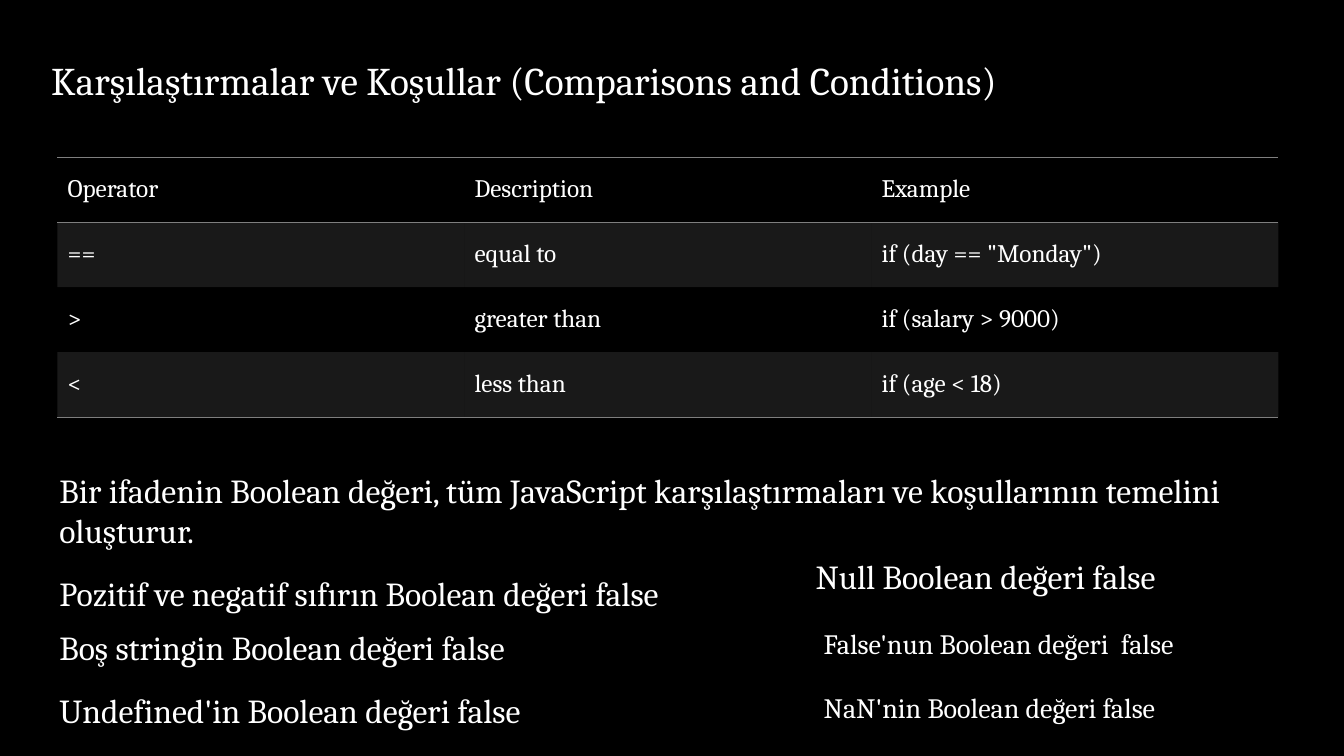
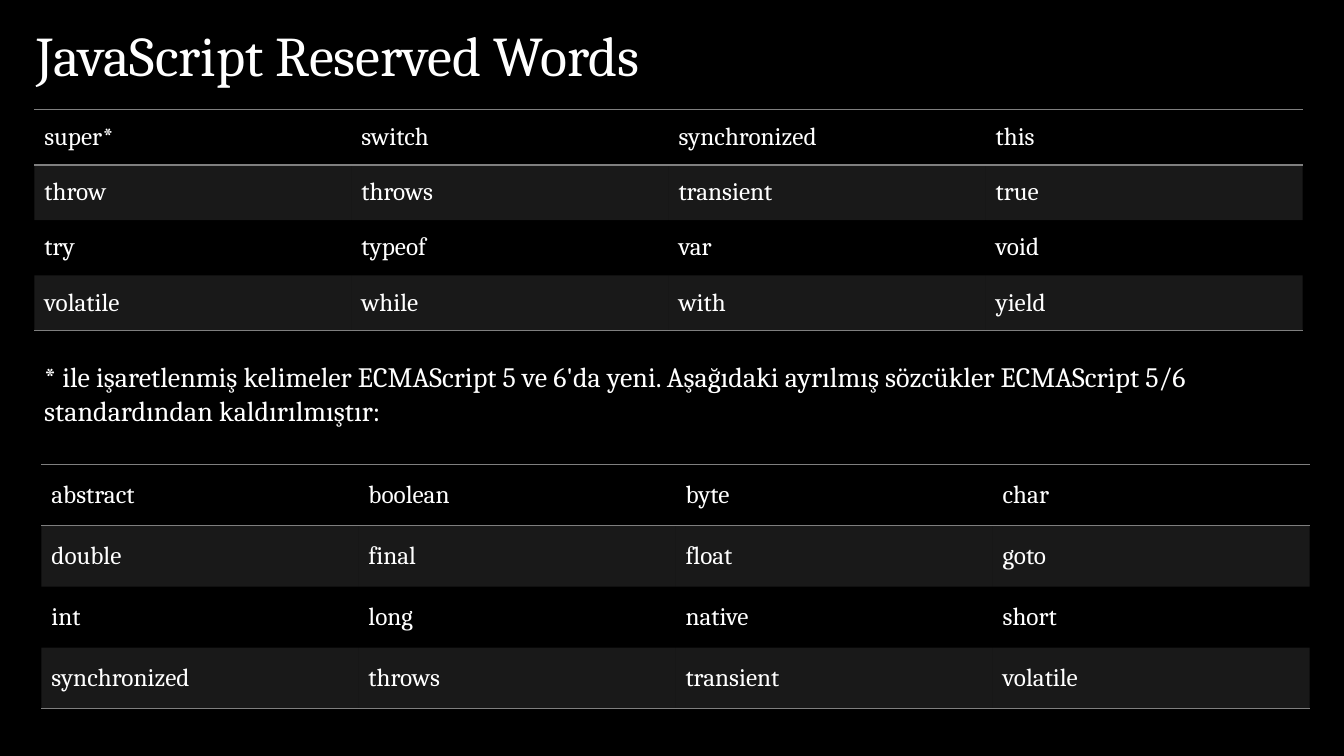
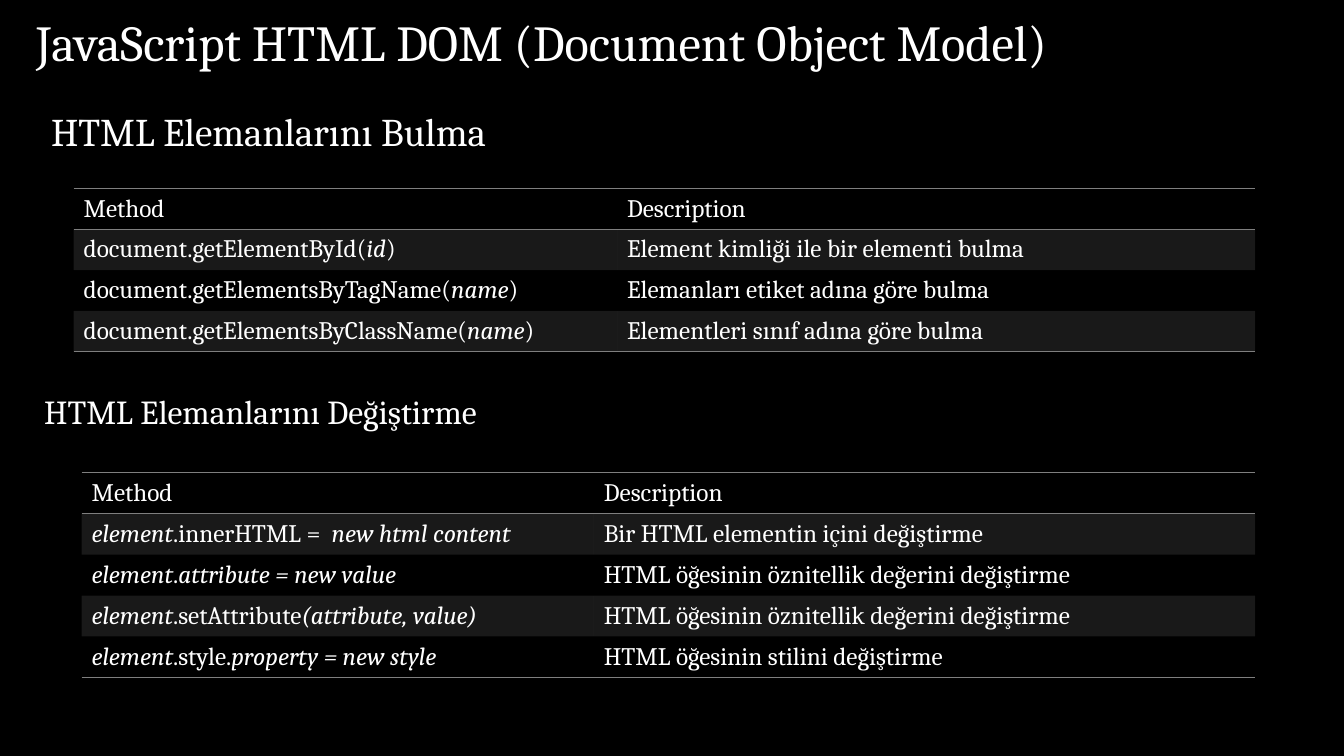
import pptx
import pptx.util
import pptx.dml.color
import pptx.enum.text
import pptx.oxml
import pptx.oxml.ns
from pptx.util import Inches

ANCHOR = pptx.enum.text.MSO_ANCHOR
COLORS = {"background": "000000", "text": "FFFFFF", "grey": "7F7F7F"}
FONT = "Cambria"
TABLE_SIZE = 18
BAND_ALPHA = 20
TITLE_FORMAT = {"line_spacing": 0.8}
HEADING_FORMAT = {"space_before": pptx.util.Pt(16)}


def rgb(name):
    return pptx.dml.color.RGBColor.from_string(COLORS[name])


def set_attributes(target, values):
    for name, value in values.items():
        setattr(target, name, value)


class Deck:
    """Holds the shared style and the current slide."""

    def __init__(self):
        self.presentation = pptx.Presentation()
        set_attributes(self.presentation, {"slide_width": Inches(13.33), "slide_height": Inches(7.5)})
        self.slide = None

    def new_slide(self):
        self.slide = self.presentation.slides.add_slide(self.presentation.slide_layouts[6])
        fill = self.slide.background.fill
        fill.solid()
        fill.fore_color.rgb = rgb("background")

    def add_runs(self, paragraph, text, size):
        """Fill a paragraph; parts between underscores are italic."""
        for index, part in enumerate(text.split("_")):
            if part:
                run = paragraph.add_run()
                run.text = part
                set_attributes(run.font, {"name": FONT, "size": pptx.util.Pt(size), "italic": index % 2 == 1})
                run.font.color.rgb = rgb("text")

    def text(self, text, left, top, width, height, size=24, anchor=ANCHOR.TOP, paragraph_format=None):
        shape = self.slide.shapes.add_textbox(Inches(left), Inches(top), Inches(width), Inches(height))
        set_attributes(shape.text_frame, {"word_wrap": True, "vertical_anchor": anchor})
        paragraph = shape.text_frame.paragraphs[0]
        set_attributes(paragraph, paragraph_format or {})
        self.add_runs(paragraph, text, size)

    def title(self, text, left, top, width, height, size):
        self.text(text, left, top, width, height, size, ANCHOR.BOTTOM, TITLE_FORMAT)

    def table(self, rows, left, top, column_widths, height):
        frame = self.slide.shapes.add_table(
            len(rows), len(column_widths), Inches(left), Inches(top),
            Inches(sum(column_widths)), Inches(height))
        table = frame.table
        set_attributes(table, {"first_row": False, "horz_banding": False})
        for column, width in zip(table.columns, column_widths):
            column.width = Inches(width)
        last = len(rows) - 1
        for row_index, row in enumerate(rows):
            table.rows[row_index].height = Inches(height / len(rows))
            for column_index, text in enumerate(row):
                cell = table.cell(row_index, column_index)
                cell.vertical_anchor = ANCHOR.MIDDLE
                self.add_runs(cell.text_frame.paragraphs[0], text, TABLE_SIZE)
                self.cell_fill(cell, banded=row_index % 2 == 1)
                self.cell_borders(cell, row_index <= 1, row_index in (0, last))

    def cell_fill(self, cell, banded):
        if not banded:
            cell.fill.background()
            return
        cell.fill.solid()
        cell.fill.fore_color.rgb = rgb("grey")
        color = cell._tc.tcPr.find(".//" + pptx.oxml.ns.qn("a:srgbClr"))
        color.append(pptx.oxml.parse_xml(
            f'<a:alpha {pptx.oxml.ns.nsdecls("a")} val="{BAND_ALPHA * 1000}"/>'))

    def cell_borders(self, cell, top_line, bottom_line):
        edges = {"L": False, "R": False, "T": top_line, "B": bottom_line}
        line_fill = f'<a:solidFill><a:srgbClr val="{COLORS["grey"]}"/></a:solidFill>'
        for index, (edge, visible) in enumerate(edges.items()):
            cell._tc.tcPr.insert(index, pptx.oxml.parse_xml(
                f'<a:ln{edge} {pptx.oxml.ns.nsdecls("a")} w="12700">'
                f'{line_fill if visible else "<a:noFill/>"}</a:ln{edge}>'))


def comparisons(deck):
    deck.new_slide()
    deck.title("Karşılaştırmalar ve Koşullar (Comparisons and Conditions)", 0.41, 0.31, 12.19, 0.76, 28)
    deck.table([
        ("Operator", "Description", "Example"),
        ("==", "equal to", 'if (day == "Monday")'),
        (">", "greater than", "if (salary > 9000)"),
        ("<", "less than", "if (age < 18)"),
    ], 0.57, 1.56, [12.11 / 3] * 3, 2.58)
    deck.text("Bir ifadenin Boolean değeri, tüm JavaScript karşılaştırmaları ve koşullarının temelini oluşturur.",
              0.49, 4.61, 12.19, 0.91)
    # Values that count as false
    for text, left, top, width, height, size in (
        ("Pozitif ve negatif sıfırın Boolean değeri false", 0.49, 5.63, 7.15, 0.5, 24),
        ("Boş stringin Boolean değeri false", 0.49, 6.17, 5.32, 0.5, 24),
        ("Undefined'in Boolean değeri false", 0.49, 6.8, 5.42, 0.5, 24),
        ("Null Boolean değeri false", 7.99, 5.47, 4.11, 0.5, 24),
        ("False'nun Boolean değeri  false", 8.07, 6.17, 4.24, 0.44, 20),
        ("NaN'nin Boolean değeri false", 8.07, 6.8, 3.99, 0.44, 20),
    ):
        deck.text(text, left, top, width, height, size)


def reserved_words(deck):
    columns = [12.58 / 4] * 4
    deck.new_slide()
    deck.title("JavaScript Reserved Words", 0.26, 0.23, 12.58, 0.68, 40)
    deck.table([
        ("super*", "switch", "synchronized", "this"),
        ("throw", "throws", "transient", "true"),
        ("try", "typeof", "var", "void"),
        ("volatile", "while", "with", "yield"),
    ], 0.34, 1.09, columns, 2.19)
    deck.text("* ile işaretlenmiş kelimeler ECMAScript 5 ve 6'da yeni. Aşağıdaki ayrılmış sözcükler "
              "ECMAScript 5/6 standardından kaldırılmıştır:", 0.34, 3.52, 12.58, 0.77, 20)
    # Words dropped from the standard
    deck.table([
        ("abstract", "boolean", "byte", "char"),
        ("double", "final", "float", "goto"),
        ("int", "long", "native", "short"),
        ("synchronized", "throws", "transient", "volatile"),
    ], 0.41, 4.61, columns, 2.42)


def document_model(deck):
    header = ("Method", "Description")
    deck.new_slide()
    deck.title("JavaScript HTML DOM (Document Object Model)", 0.26, 0.16, 12.58, 0.6, 36)
    # Finding elements
    deck.text("HTML Elemanlarını Bulma", 0.41, 1.02, 12.66, 6.25, 28, paragraph_format=HEADING_FORMAT)
    deck.table([
        header,
        ("document.getElementById(_id_)", "Element kimliği ile bir elementi bulma"),
        ("document.getElementsByTagName(_name_)", "Elemanları etiket adına göre bulma"),
        ("document.getElementsByClassName(_name_)", "Elementleri sınıf adına göre bulma"),
    ], 0.73, 1.87, [5.39, 6.33], 1.62)
    # Changing elements
    deck.text("HTML Elemanlarını Değiştirme", 0.34, 3.83, 5.22, 0.5)
    deck.table([
        header,
        ("_element_.innerHTML =  _new html content_", "Bir HTML elementin içini değiştirme"),
        ("_element_._attribute = new value_", "HTML öğesinin öznitellik değerini değiştirme"),
        ("_element_.setAttribute_(attribute, value)_", "HTML öğesinin öznitellik değerini değiştirme"),
        ("_element_.style._property = new style_", "HTML öğesinin stilini değiştirme"),
    ], 0.81, 4.69, [5.08, 6.56], 2.03)


def main():
    deck = Deck()
    comparisons(deck)
    reserved_words(deck)
    document_model(deck)
    deck.presentation.save("out.pptx")


if __name__ == "__main__":
    main()
